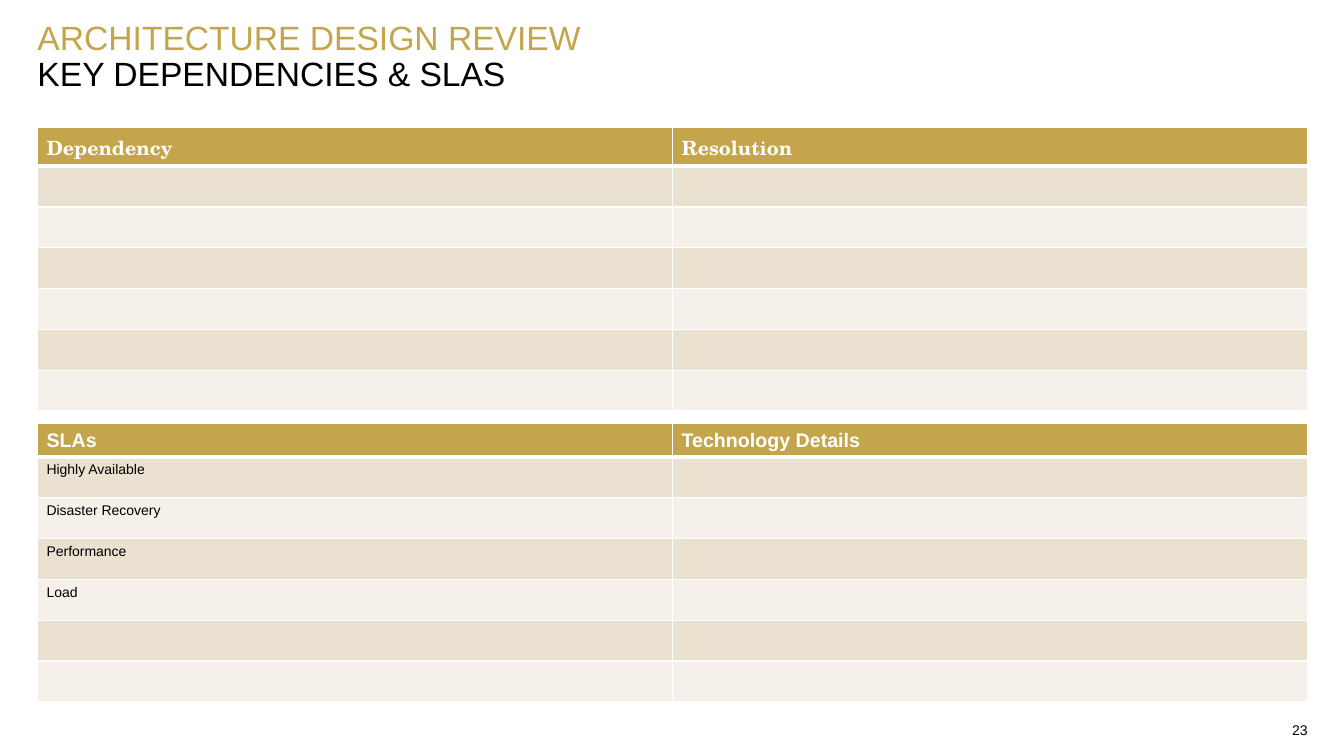
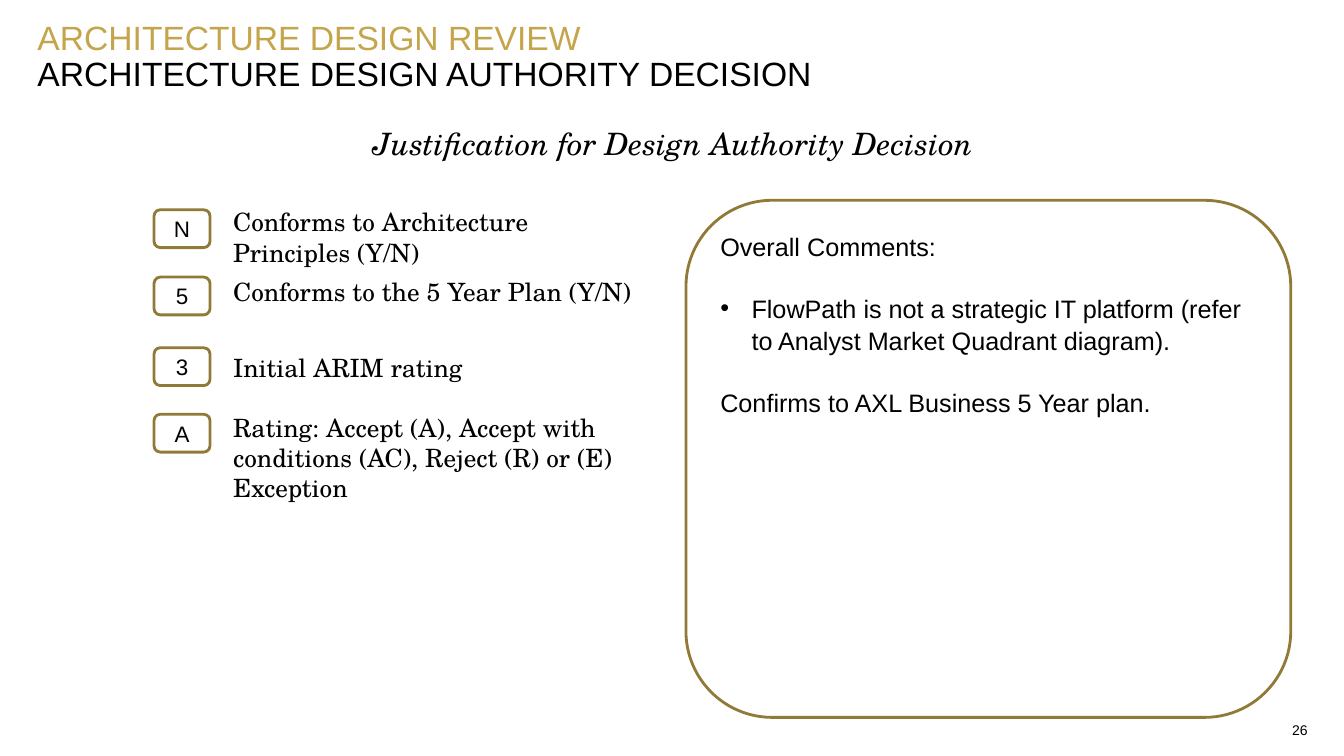
from lxml.etree import SubElement
from pptx import Presentation
from pptx.dml.color import RGBColor
from pptx.enum.shapes import MSO_SHAPE as Shape
from pptx.enum.text import MSO_ANCHOR as Anchor, PP_ALIGN as Align
from pptx.oxml.ns import qn
from pptx.util import Inches, Pt

COLORS = {
    "gold": "C4A54B",
    "outline": "917A37",
    "sand": "EAE1D0",
    "cream": "F5F0E9",
    "white": "FFFFFF",
    "black": "000000",
}
SANS, SERIF = "Arial", "TeX Gyre Schola"

presentation = Presentation()
presentation.slide_width, presentation.slide_height = Inches(13.33), Inches(7.5)

# Grid: 24 columns by 20 rows
COLUMN = presentation.slide_width / 24
ROW = presentation.slide_height / 20
MARGIN, CONTENT = 0.67, 22.68


def write(frame, text, size=18, font=SANS, color="black", bold=False, italic=False,
          align=Align.LEFT, spacing=None, before=0, bullet=False):
    """Fill the first paragraph of a frame, or add one after existing text."""
    paragraph = frame.add_paragraph() if frame.text else frame.paragraphs[0]
    paragraph.alignment = align
    paragraph.line_spacing = spacing
    paragraph.space_before = Pt(before)
    if bullet:
        properties = paragraph._p.get_or_add_pPr()
        properties.set("marL", str(Inches(0.31)))
        properties.set("indent", str(-Inches(0.31)))
        SubElement(properties, qn("a:buFont")).set("typeface", SANS)
        SubElement(properties, qn("a:buChar")).set("char", "•")
    run = paragraph.add_run()
    run.text = text
    run.font.size, run.font.name = Pt(size), font
    run.font.bold, run.font.italic = bold, italic
    run.font.color.rgb = RGBColor.from_string(COLORS[color])


def add_frame(slide, left, top, width, height, inset=(0, 0), anchor=Anchor.TOP, outlined=False):
    """Place a text box or an outlined round box on the grid; return its text frame."""
    place = [int(left * COLUMN), int(top * ROW), int(width * COLUMN), int(height * ROW)]
    if outlined:
        shape = slide.shapes.add_shape(Shape.ROUNDED_RECTANGLE, *place)
        shape.shadow.inherit = False
        shape.fill.background()
        shape.line.color.rgb = RGBColor.from_string(COLORS["outline"])
        shape.line.width = Pt(2)
    else:
        shape = slide.shapes.add_textbox(*place)
    frame = shape.text_frame
    frame.word_wrap = True
    frame.vertical_anchor = anchor
    frame.margin_left = frame.margin_right = Inches(inset[0])
    frame.margin_top = frame.margin_bottom = Inches(inset[1])
    return frame


# Shared titles and page numbers
slides = []
for subtitle, number in [("KEY DEPENDENCIES & SLAS", "23"),
                         ("ARCHITECTURE DESIGN AUTHORITY DECISION", "26")]:
    slide = presentation.slides.add_slide(presentation.slide_layouts[6])
    write(add_frame(slide, MARGIN, 0.64, CONTENT, 0.83), "ARCHITECTURE DESIGN REVIEW",
          size=24, color="gold", spacing=0.8)
    write(add_frame(slide, MARGIN, 1.57, CONTENT, 1), subtitle, size=24, spacing=0.85)
    write(add_frame(slide, 20.54, 19, 2.81, 0.64, anchor=Anchor.MIDDLE), number,
          size=10, align=Align.RIGHT)
    slides.append(slide)
tables_slide, decision_slide = slides

# Tables of dependencies and service levels
BODY_ROWS, BODY_HEIGHT = 6, 1.08
TABLES = [
    (3.36, 1.04, SERIF, ["Dependency", "Resolution"], []),
    (11.2, 0.83, SANS, ["SLAs", "Technology Details"],
     ["Highly Available", "Disaster Recovery", "Performance", "Load"]),
]
for top, header_height, header_font, headers, entries in TABLES:
    height = header_height + BODY_ROWS * BODY_HEIGHT
    table = tables_slide.shapes.add_table(
        BODY_ROWS + 1, len(headers), int(MARGIN * COLUMN), int(top * ROW),
        int(CONTENT * COLUMN), int(height * ROW)).table
    for row_index, row in enumerate(table.rows):
        row.height = int((BODY_HEIGHT if row_index else header_height) * ROW)
        fill = ("cream", "sand")[row_index % 2] if row_index else "gold"
        for column_index, cell in enumerate(row.cells):
            cell.margin_left = cell.margin_right = Inches(0.09)
            if row_index == 0:
                cell.vertical_anchor = Anchor.MIDDLE
                write(cell.text_frame, headers[column_index], size=14, font=header_font,
                      color="white", bold=True)
            elif column_index == 0 and row_index <= len(entries):
                write(cell.text_frame, entries[row_index - 1], size=10)
            # White borders, thick under the header
            properties = cell._tc.get_or_add_tcPr()
            for side in ("lnL", "lnR", "lnT", "lnB"):
                thick = (row_index, side) in [(0, "lnB"), (1, "lnT")]
                line = SubElement(properties, qn(f"a:{side}"), w=str(Pt(3 if thick else 1)))
                solid = SubElement(line, qn("a:solidFill"))
                SubElement(solid, qn("a:srgbClr"), val=COLORS["white"])
            cell.fill.solid()
            cell.fill.fore_color.rgb = RGBColor.from_string(COLORS[fill])

# Decision heading
write(add_frame(decision_slide, 4.43, 3.23, 15.16, 1.15, inset=(0.06, 0.03)),
      "Justification for Design Authority Decision",
      size=22, font=SERIF, italic=True, align=Align.CENTER)

# Ratings: answer box and criterion
INSET = (0.09, 0.04)
RATINGS = [
    ("N", 5.55, "Conforms to Architecture Principles (Y/N)", 5.36, 1.84),
    ("5", 7.33, "Conforms to the 5 Year Plan (Y/N)", 7.2, 1.04),
    ("3", 9.2, "Initial ARIM rating", 9.2, 1.04),
    ("A", 10.96, "Rating: Accept (A), Accept with conditions (AC), Reject (R) or (E) Exception",
     10.8, 2.67),
]
for answer, answer_top, criterion, criterion_top, criterion_height in RATINGS:
    write(add_frame(decision_slide, 2.75, answer_top, 1, 1, inset=INSET, anchor=Anchor.MIDDLE,
                    outlined=True), answer, size=16, align=Align.CENTER)
    write(add_frame(decision_slide, 4, criterion_top, 7.74, criterion_height, inset=INSET),
          criterion, font=SERIF)

# Overall comments
comments = add_frame(decision_slide, 12.25, 5.3, 10.8, 13.68, inset=INSET, outlined=True)
write(comments, "Overall Comments:", spacing=1.05)
write(comments, "FlowPath is not a strategic IT platform (refer to Analyst Market Quadrant diagram).",
      spacing=1.05, before=21.6, bullet=True)
write(comments, "Confirms to AXL Business 5 Year plan.", spacing=1.05, before=21.6)

presentation.save("out.pptx")
